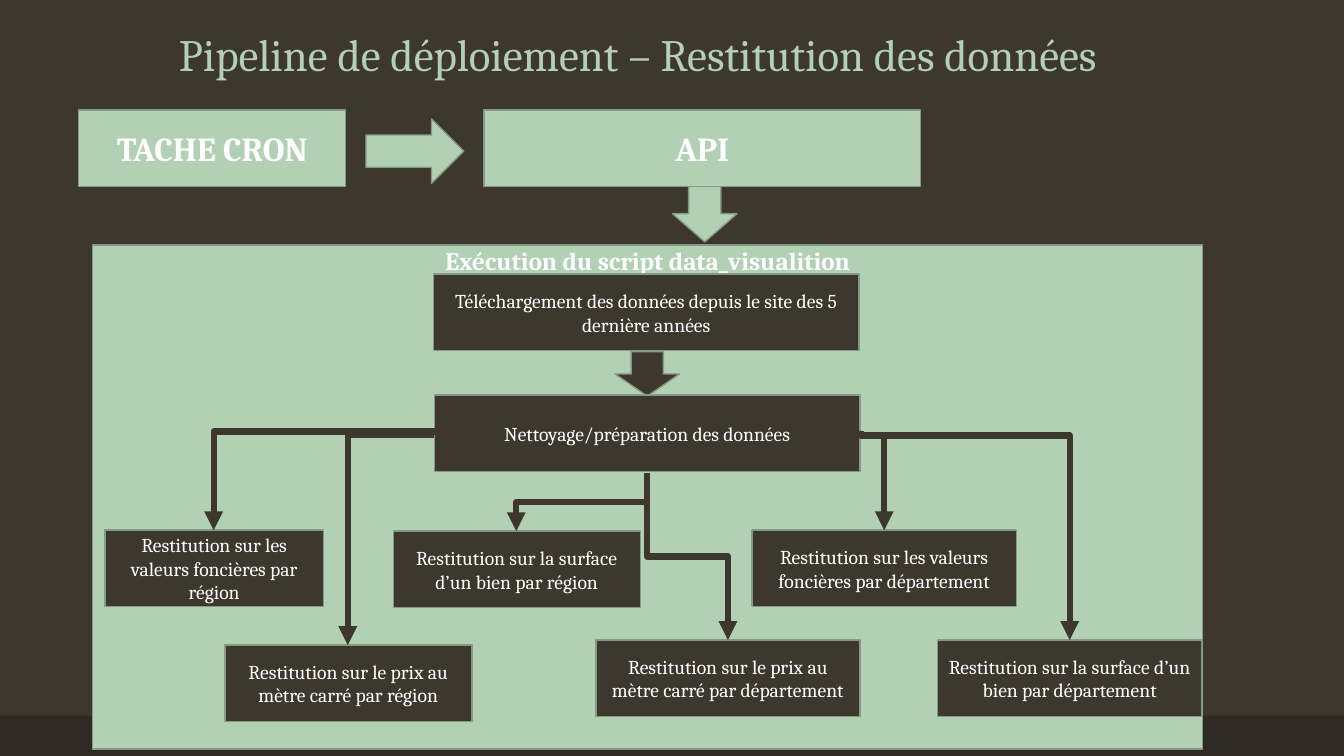
"""Build the slide on the deployment pipeline that publishes the data."""
from lxml.etree import SubElement
from pptx import Presentation
from pptx.dml.color import RGBColor
from pptx.enum.shapes import MSO_CONNECTOR, MSO_SHAPE
from pptx.enum.text import MSO_ANCHOR, MSO_AUTO_SIZE, PP_ALIGN
from pptx.oxml.ns import qn
from pptx.util import Inches, Pt

GREEN, BROWN, DARK, EDGE, WHITE = "B2D0B4", "3D372E", "2E2923", "849A85", "FFFFFF"
FONT = "Cambria"
BOX_HEIGHT = 0.76
TITLE = "Pipeline de déploiement – Restitution des données"
FOOTER_BAND = (0, 7.1, 13.33, 0.4)
SCRIPT_PANEL = (0.92, 2.43, 11.01, 5)
SCRIPT_TITLE = "Exécution du script data_visualition"

TRIGGERS = [
    ("TACHE CRON", 0.78, 1.09, 2.65),
    ("API", 4.8, 1.09, 4.33),
]
STEPS = [
    ("Téléchargement des données depuis le site des 5 dernière années", 4.3, 2.72, 4.22),
    ("Nettoyage/préparation des données", 4.31, 3.92, 4.22),
    ("Restitution sur le prix au mètre carré par département", 5.91, 6.35, 2.62),
    ("Restitution sur les valeurs foncières par département", 7.46, 5.26, 2.62),
    ("Restitution sur la surface d’un bien par département", 9.3, 6.35, 2.62),
    ("Restitution sur les valeurs foncières par région", 1.04, 5.26, 2.17),
    ("Restitution sur le prix au mètre carré par région", 2.23, 6.4, 2.45),
    ("Restitution sur la surface d’un bien par région", 3.9, 5.27, 2.45),
]
ARROWS = [
    (MSO_SHAPE.RIGHT_ARROW, (3.63, 1.18, 0.97, 0.64), GREEN),
    (MSO_SHAPE.DOWN_ARROW, (6.67, 1.84, 0.64, 0.56), GREEN),
    (MSO_SHAPE.DOWN_ARROW, (6.1, 3.49, 0.64, 0.44), BROWN),
]
CORNER_LINKS = [
    ((4.32, 4.28), (2.12, 5.26)),
    ((4.31, 4.31), (3.45, 6.4)),
]
STEP_LINKS = [
    ((6.42, 4.69), (5.12, 5.27), 0.5),
    ((6.42, 4.69), (7.22, 6.35), 0.5),
    ((8.54, 4.28), (8.77, 5.26), 0.04),
    ((8.54, 4.28), (10.61, 6.35), 0.02),
]


def color(value):
    """Turn a hex string into a colour."""
    return RGBColor.from_string(value)


def write(shape, text, size, ink=WHITE, bold=False, anchor=MSO_ANCHOR.MIDDLE):
    """Put one centred paragraph into a shape."""
    frame = shape.text_frame
    frame.text = text
    frame.word_wrap = True
    frame.auto_size = MSO_AUTO_SIZE.NONE
    frame.vertical_anchor = anchor
    paragraph = frame.paragraphs[0]
    paragraph.alignment = PP_ALIGN.CENTER
    font = paragraph.runs[0].font
    for name, value in {"name": FONT, "size": Pt(size), "bold": bold}.items():
        setattr(font, name, value)
    font.color.rgb = color(ink)


def add_block(slide, kind, box, fill, edge=EDGE):
    """Draw a filled preset shape."""
    shape = slide.shapes.add_shape(kind, *map(Inches, box))
    shape.shadow.inherit = False
    shape.fill.solid()
    shape.fill.fore_color.rgb = color(fill)
    if edge:
        shape.line.color.rgb = color(edge)
        shape.line.width = Pt(1)
    else:
        shape.line.fill.background()
    return shape


def add_link(slide, start, end):
    """Draw a thick elbow connector with an arrowhead."""
    link = slide.shapes.add_connector(MSO_CONNECTOR.ELBOW, *map(Inches, start + end))
    link.line.color.rgb = color(BROWN)
    link.line.width = Pt(4.5)
    SubElement(link.line._get_or_add_ln(), qn("a:tailEnd"), type="triangle")
    properties = link._element.spPr
    SubElement(properties, qn("a:effectLst"))
    return properties


def add_corner_link(slide, start, end):
    """Go sideways, then down."""
    properties = add_link(slide, start, end)
    properties.find(qn("a:prstGeom")).set("prst", "bentConnector2")


def add_step_link(slide, start, end, bend):
    """Go down, sideways at the bend, then down again."""
    (x1, y1), (x2, y2) = start, end
    length, offset = y2 - y1, abs(x2 - x1)
    left, top = (x1 + x2 - length) / 2, (y1 + y2 - offset) / 2
    properties = add_link(slide, (left, top), (left + length, top + offset))
    turn = {"rot": "16200000", "flipH": "1"} if x2 > x1 else {"rot": "5400000"}
    for name, value in turn.items():
        properties.find(qn("a:xfrm")).set(name, value)
    guides = properties.find(qn("a:prstGeom")).find(qn("a:avLst"))
    SubElement(guides, qn("a:gd"), name="adj1", fmla=f"val {round(bend * 100000)}")


def main():
    """Build and save the slide."""
    presentation = Presentation()
    presentation.slide_width, presentation.slide_height = Inches(13.33), Inches(7.5)
    slide = presentation.slides.add_slide(presentation.slide_layouts[5])
    slide.background.fill.solid()
    slide.background.fill.fore_color.rgb = color(BROWN)
    add_block(slide, MSO_SHAPE.RECTANGLE, FOOTER_BAND, DARK, edge=None)

    title = slide.shapes.title
    title_place = {"left": 0.58, "top": 0.1, "width": 11.5, "height": 0.76}
    for name, value in title_place.items():
        setattr(title, name, Inches(value))
    write(title, TITLE, 32, GREEN, anchor=MSO_ANCHOR.BOTTOM)
    title.text_frame.paragraphs[0].line_spacing = 0.9

    panel = add_block(slide, MSO_SHAPE.RECTANGLE, SCRIPT_PANEL, GREEN)
    write(panel, SCRIPT_TITLE, 18, bold=True, anchor=MSO_ANCHOR.TOP)
    panel.text_frame.margin_top = 0

    for kind, box, fill in ARROWS:
        add_block(slide, kind, box, fill)
    for boxes, fill, size, bold in ((TRIGGERS, GREEN, 24, True), (STEPS, BROWN, 14, False)):
        for text, left, top, width in boxes:
            box = (left, top, width, BOX_HEIGHT)
            write(add_block(slide, MSO_SHAPE.RECTANGLE, box, fill), text, size, bold=bold)
    for start, end in CORNER_LINKS:
        add_corner_link(slide, start, end)
    for start, end, bend in STEP_LINKS:
        add_step_link(slide, start, end, bend)
    presentation.save("out.pptx")


if __name__ == "__main__":
    main()
